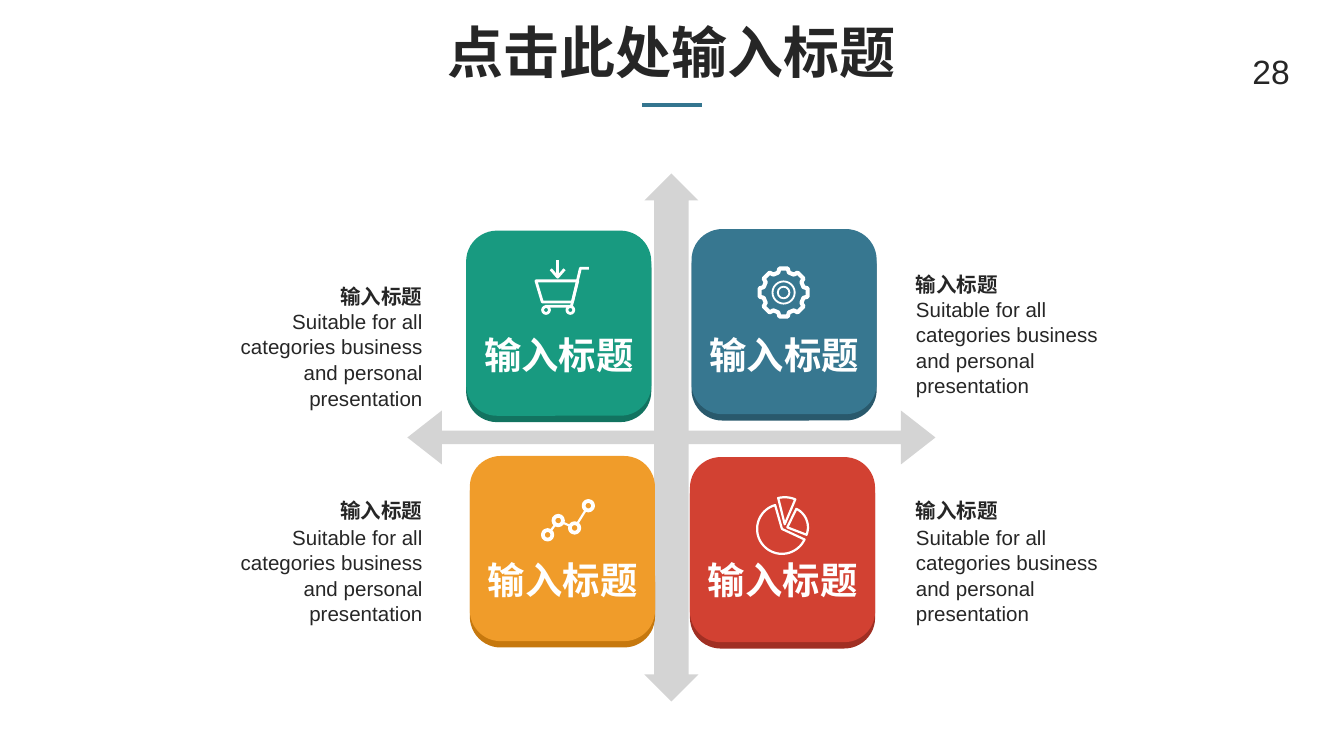
from math import cos, radians, sin

from lxml import etree
from pptx import Presentation
from pptx import util as u
from pptx.dml.color import RGBColor
from pptx.enum import shapes, text
from pptx.oxml import ns

INK = RGBColor(0x26, 0x26, 0x26)
WHITE = RGBColor(0xFF, 0xFF, 0xFF)
GREY = RGBColor(0xD4, 0xD4, 0xD4)
RULE = RGBColor(0x34, 0x75, 0x8F)
GREEN, DARK_GREEN = RGBColor(0x18, 0x9A, 0x80), RGBColor(0x12, 0x73, 0x60)
BLUE, DARK_BLUE = RGBColor(0x37, 0x77, 0x90), RGBColor(0x29, 0x59, 0x6C)
ORANGE, DARK_ORANGE = RGBColor(0xF0, 0x9C, 0x2A), RGBColor(0xC6, 0x78, 0x0E)
RED, DARK_RED = RGBColor(0xD2, 0x41, 0x32), RGBColor(0xA0, 0x2F, 0x23)
HEADING = "输入标题"
BODY = "Suitable for all categories business and personal presentation"
TILE = 3.5


def paint(shape, fill=None, line=None, width=1):
    """Give a shape a plain fill and outline, without shadow."""
    shape.shadow.inherit = False
    if fill is None:
        shape.fill.background()
    else:
        shape.fill.solid()
        shape.fill.fore_color.rgb = fill
    if line is None:
        shape.line.fill.background()
    else:
        shape.line.color.rgb = line
        shape.line.width = u.Pt(width)


def add_preset(page, kind, box, fill=None, line=None, width=1):
    """Add a painted preset shape in a box given in centimetres."""
    shape = page.shapes.add_shape(kind, *map(u.Cm, box))
    paint(shape, fill, line, width)
    return shape


def add_line(page, start, end, color, width):
    """Add a straight line between two points."""
    line = page.shapes.add_connector(
        shapes.MSO_CONNECTOR.STRAIGHT, *map(u.Cm, (*start, *end)))
    line.line.color.rgb = color
    line.line.width = u.Pt(width)
    etree.SubElement(line._element.spPr, ns.qn("a:effectLst"))


def add_outline(page, left, top, points, width, close=True):
    """Draw a white outline through points measured from left and top."""
    places = [(u.Cm(left + x), u.Cm(top + y)) for x, y in points]
    builder = page.shapes.build_freeform(*places[0])
    builder.add_line_segments(places[1:], close=close)
    paint(builder.convert_to_shape(), line=WHITE, width=width)


def add_ring(page, x, y, diameter, width, fill=None):
    """Draw a white ring around a centre."""
    box = (x - diameter / 2, y - diameter / 2, diameter, diameter)
    add_preset(page, shapes.MSO_SHAPE.OVAL, box, fill, WHITE, width)


def polar(radius, degrees, x=0, y=0):
    """Return the point at an angle and radius from a centre."""
    return x + radius * cos(radians(degrees)), y + radius * sin(radians(degrees))


def write(shape, words, size, color=INK, bold=False, align=text.PP_ALIGN.LEFT,
          wrap=True, anchor=text.MSO_ANCHOR.TOP, spacing=None):
    """Write one formatted paragraph into a shape."""
    frame = shape.text_frame
    frame.word_wrap = wrap
    frame.auto_size = text.MSO_AUTO_SIZE.NONE
    frame.vertical_anchor = anchor
    frame.margin_left = frame.margin_right = u.Cm(0.19)
    frame.margin_top = frame.margin_bottom = u.Cm(0.1)
    para = frame.paragraphs[0]
    para.text = words
    para.alignment = align
    if spacing:
        para.line_spacing = spacing
    para.font.name = "Arial"
    para.font.size = u.Pt(size)
    para.font.bold = bold
    para.font.color.rgb = color


def add_words(page, box, words, size, **style):
    """Add a text box with one paragraph."""
    write(page.shapes.add_textbox(*map(u.Cm, box)), words, size, **style)


def add_header(page, box):
    """Place the title, the short rule below it and the page number."""
    left, top, width, height = box
    title = page.shapes.title
    title.left, title.top, title.width, title.height = map(u.Cm, box)
    write(title, "点击此处输入标题", 30, bold=True,
          align=text.PP_ALIGN.CENTER, spacing=0.9)
    middle, base = left + width / 2, top + height - 0.2
    add_line(page, (middle - 0.56, base), (middle + 0.56, base), RULE, 2)
    add_words(page, (left + width - 0.17, top + 0.48, 1.35, 0.76), "28", 18)


def add_axes(page, box):
    """Cross two double arrows in the middle of a square box."""
    left, top, width, height = box
    thick = 1.02
    across = (left, top + (height - thick) / 2, width, thick)
    upright = (left + (width - thick) / 2, top, thick, height)
    for kind, place in ((shapes.MSO_SHAPE.LEFT_RIGHT_ARROW, across),
                        (shapes.MSO_SHAPE.UP_DOWN_ARROW, upright)):
        arrow = add_preset(page, kind, place, GREY)
        upended = kind == shapes.MSO_SHAPE.UP_DOWN_ARROW
        arrow.adjustments[0] = 0.25
        arrow.adjustments[1] = 0.64 if upended else 0.64


def draw_cart(page, left, top, fill):
    """Draw a shopping cart with an arrow into it."""
    left, top = left + 1.3, top + 0.54
    for x in (0.21, 0.67):
        add_ring(page, left + x, top + 0.96, 0.13, 1.5)
    add_outline(page, left, top, [(0.2, 0.89), (0.69, 0.89), (0.86, 0.17), (1.02, 0.17)],
                1.5, close=False)
    add_outline(page, left, top, [(0.02, 0.41), (0.14, 0.81), (0.71, 0.81), (0.81, 0.41)], 1.5)
    add_outline(page, left, top, [(0.3, 0.19), (0.43, 0.34), (0.56, 0.19)], 1.5, close=False)
    add_line(page, (left + 0.43, top + 0.02), (left + 0.43, top + 0.34), WHITE, 1.5)


def draw_gear(page, left, top, fill):
    """Draw a gear with eight teeth and two rings."""
    x, y = left + 1.74, top + 1.2
    tooth = ((-15, 0.39), (-10, 0.46), (10, 0.46), (15, 0.39))
    add_outline(page, x, y, [polar(radius, 45 * step + turn)
                             for step in range(8) for turn, radius in tooth], 2.2)
    for diameter in (0.42, 0.22):
        add_ring(page, x, y, diameter, 1)


def draw_trend(page, left, top, fill):
    """Draw four linked rings rising to the right."""
    points = [(left + x, top + y)
              for x, y in ((1.47, 1.49), (1.67, 1.22), (1.98, 1.36), (2.24, 0.94))]
    for start, end in zip(points, points[1:]):
        add_line(page, start, end, WHITE, 1.2)
    for x, y in points:
        add_ring(page, x, y, 0.18, 2, fill)


def draw_pie(page, left, top, fill):
    """Draw a pie with two slices pulled out."""
    slices = ((1.74, 1.36, 0.47, 25, 254), (1.84, 1.33, 0.39, -64, 21),
              (1.79, 1.27, 0.51, 256, 293))
    for x, y, radius, start, end in slices:
        steps = max(6, (end - start) // 6)
        arc = [polar(radius, start + (end - start) * step / steps, x, y)
               for step in range(steps + 1)]
        add_outline(page, left, top, [(x, y), *arc], 1.2)


def add_tile(page, box, fill, edge, label_top, draw_icon):
    """Place a raised tile with its label and icon."""
    left, top, width, height = box
    rounded = shapes.MSO_SHAPE.ROUNDED_RECTANGLE
    add_preset(page, rounded, (left, top + 0.12, width, height), edge)
    add_preset(page, rounded, box, fill)
    label = add_preset(page, rounded, (left + 0.03, top + label_top, width - 0.05, 1.22))
    write(label, HEADING, 20, WHITE, True, text.PP_ALIGN.CENTER, False,
          text.MSO_ANCHOR.MIDDLE)
    draw_icon(page, left, top, fill)


def add_caption(page, box, align):
    """Place a bold heading with a description below it."""
    left, top, width, height = box
    head = 1.96
    shift = width - head if align == text.PP_ALIGN.RIGHT else 0
    add_words(page, (left + shift, top, head, 0.66), HEADING, 11,
              bold=True, align=align, wrap=False)
    add_words(page, (left, top + height - 1.6, width, 1.6), BODY, 11,
              align=align, spacing=1.04)


def main():
    """Build the slide and save it."""
    deck = Presentation()
    deck.slide_width, deck.slide_height = u.Cm(25.4), u.Cm(14.29)
    page = deck.slides.add_slide(deck.slide_layouts[5])
    add_header(page, (1.75, 0.38, 21.9, 1.8))
    add_axes(page, (7.7, 3.28, 9.98, 9.98))
    tiles = ((8.81, 4.36, GREEN, DARK_GREEN, 1.73, draw_cart),
             (13.07, 4.33, BLUE, DARK_BLUE, 1.77, draw_gear),
             (8.88, 8.62, ORANGE, DARK_ORANGE, 1.73, draw_trend),
             (13.04, 8.64, RED, DARK_RED, 1.71, draw_pie))
    for left, top, *look in tiles:
        add_tile(page, (left, top, TILE, TILE), *look)
    left_side, right_side = (3.61, text.PP_ALIGN.RIGHT), (17.12, text.PP_ALIGN.LEFT)
    captions = ((left_side, 5.26, 2.06), (left_side, 9.32, 2.08),
                (right_side, 5.05, 2.04), (right_side, 9.32, 2.08))
    for (left, align), top, height in captions:
        add_caption(page, (left, top, 4.57, height), align)
    deck.save("out.pptx")


if __name__ == "__main__":
    main()
